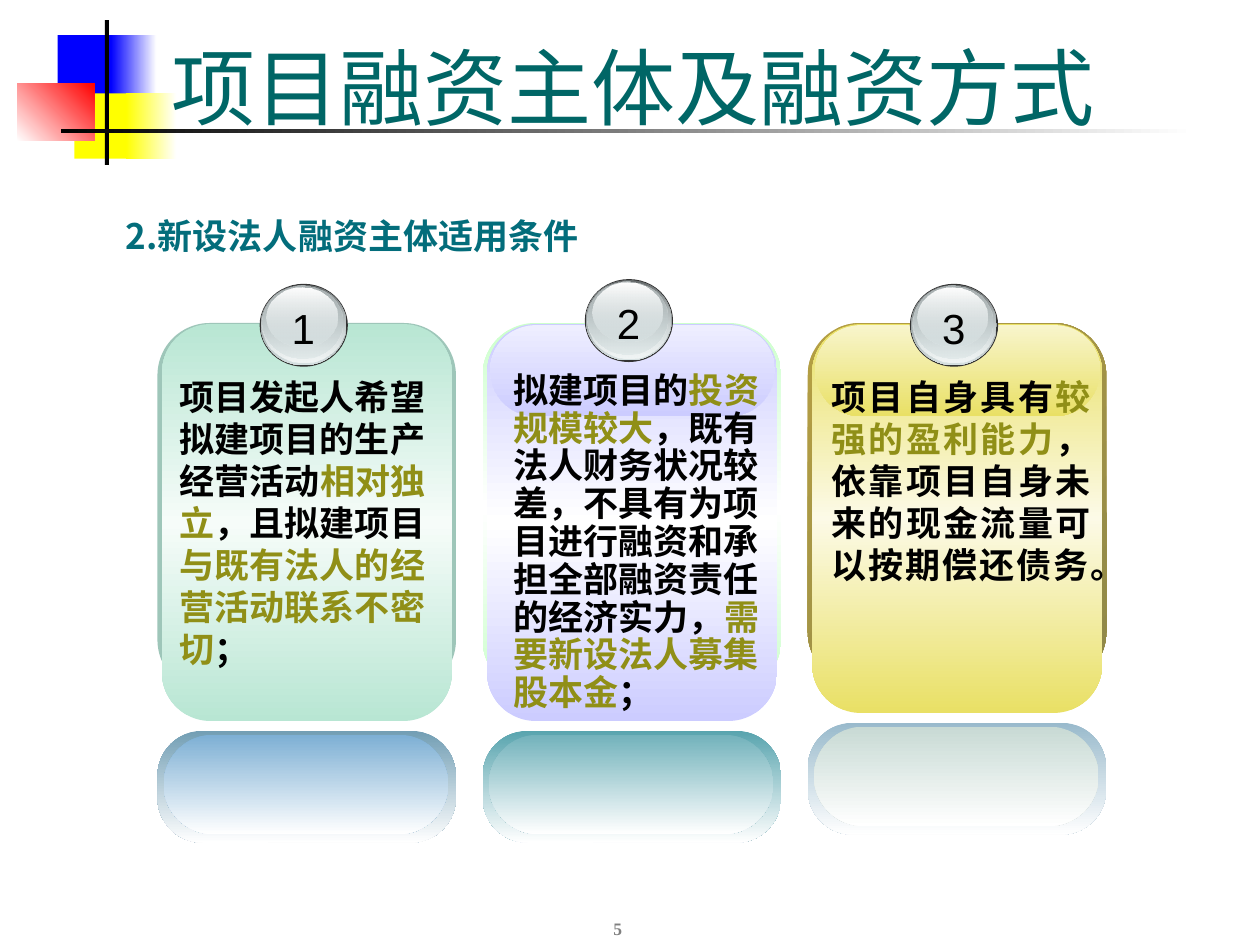
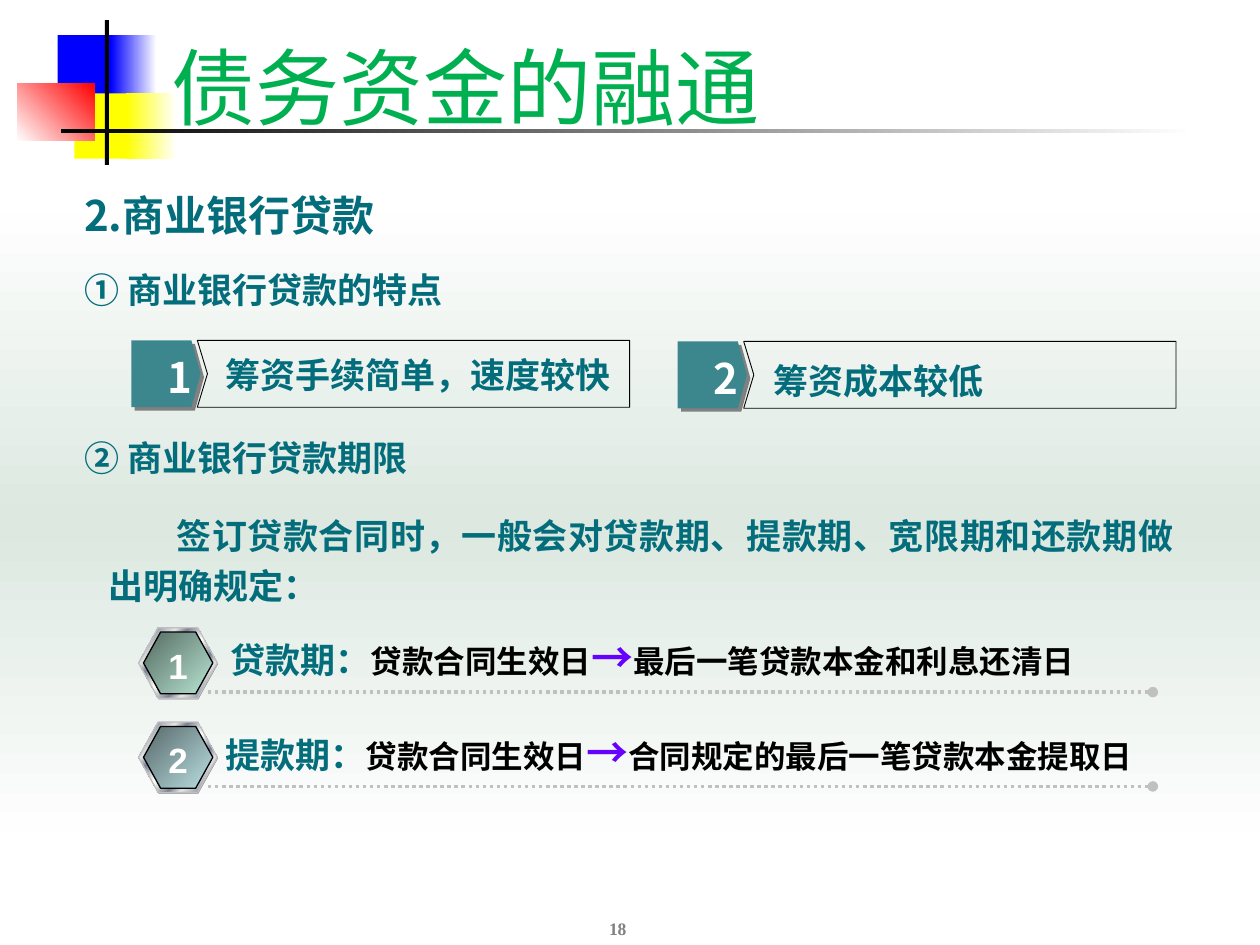
from lxml import etree
from pptx import Presentation
from pptx.dml.color import RGBColor
from pptx.enum.dml import MSO_LINE
from pptx.enum.shapes import MSO_CONNECTOR, MSO_SHAPE
from pptx.enum.text import MSO_ANCHOR, PP_ALIGN
from pptx.oxml.ns import qn
from pptx.util import Pt

RECTANGLE, ROUNDED = MSO_SHAPE.RECTANGLE, MSO_SHAPE.ROUNDED_RECTANGLE
OVAL, HEXAGON, PENTAGON = MSO_SHAPE.OVAL, MSO_SHAPE.HEXAGON, MSO_SHAPE.PENTAGON
STRAIGHT, DOTTED = MSO_CONNECTOR.STRAIGHT, MSO_LINE.ROUND_DOT
TOP, MIDDLE, BOTTOM = MSO_ANCHOR.TOP, MSO_ANCHOR.MIDDLE, MSO_ANCHOR.BOTTOM
CENTER, JUSTIFY = PP_ALIGN.CENTER, PP_ALIGN.JUSTIFY

SANS, SERIF, ARIAL = "Noto Sans CJK SC", "Times New Roman", "Arial"

WHITE = RGBColor(0xFF, 0xFF, 0xFF)
BLACK = RGBColor(0x00, 0x00, 0x00)
BLUE = RGBColor(0x00, 0x00, 0xFF)
YELLOW = RGBColor(0xFF, 0xFF, 0x00)
RED = RGBColor(0xFF, 0x00, 0x00)
GRAY = RGBColor(0x80, 0x80, 0x80)
SILVER = RGBColor(0xC0, 0xC0, 0xC0)
TITLE_TEAL = RGBColor(0x00, 0x66, 0x66)
TITLE_GREEN = RGBColor(0x00, 0xB0, 0x50)
TEAL = RGBColor(0x03, 0x6D, 0x7B)
TAG_TEAL = RGBColor(0x3B, 0x87, 0x8D)
OLIVE = RGBColor(0x90, 0x8F, 0x17)
VIOLET = RGBColor(0x66, 0x00, 0xFF)
PALE_GREEN = RGBColor(0xDC, 0xE8, 0xE0)
MINT = RGBColor(0xB8, 0xE6, 0xD3)
MINT_LIGHT = RGBColor(0xF6, 0xFC, 0xF9)
MINT_EDGE = RGBColor(0x9E, 0xC6, 0xB9)
MINT_DARK = RGBColor(0x55, 0x6A, 0x62)
LIME = RGBColor(0xCC, 0xFF, 0xCC)
LILAC = RGBColor(0xCC, 0xCC, 0xFF)
LILAC_LIGHT = RGBColor(0xEE, 0xEE, 0xFF)
GOLD = RGBColor(0xE9, 0xE0, 0x65)
GOLD_LIGHT = RGBColor(0xFC, 0xFA, 0xE7)
GOLD_GLOSS = RGBColor(0xF8, 0xF5, 0xCC)
GOLD_EDGE = RGBColor(0xB5, 0x9F, 0x43)
GOLD_DARK = RGBColor(0x8F, 0x88, 0x49)
STEEL = RGBColor(0x72, 0x9E, 0xB4)
SKY = RGBColor(0x7D, 0xAF, 0xD4)
SEA = RGBColor(0x58, 0xA4, 0xAE)
SEA_LIGHT = RGBColor(0x72, 0xB2, 0xBB)
MIST = RGBColor(0x99, 0xBA, 0xCC)
MIST_LIGHT = RGBColor(0xC8, 0xDA, 0xD4)
BADGE_RIM = RGBColor(0x33, 0x33, 0x33)
BADGE_DARK = RGBColor(0x63, 0x68, 0x69)
BADGE_MID = RGBColor(0xAA, 0xB2, 0xB3)
BADGE = RGBColor(0xD6, 0xE1, 0xE2)
BADGE_LIGHT = RGBColor(0xF1, 0xF5, 0xF5)
CHROME = RGBColor(0xE6, 0xE6, 0xE6)
CHROME_DARK = RGBColor(0x7D, 0x84, 0x96)
ICE = RGBColor(0xBB, 0xE0, 0xE3)
ICE_DARK = RGBColor(0x57, 0x68, 0x69)


def fade(*colors, angle=90):
    """Gradient with evenly spaced colours; a colour may be (colour, opacity percent)."""
    step = 100 / (len(colors) - 1)
    return [(index * step, color) for index, color in enumerate(colors)], angle


METAL = ([(0, CHROME), (8, CHROME_DARK), (26, CHROME), (34, CHROME_DARK), (46, CHROME),
          (50, WHITE), (54, CHROME), (66, CHROME_DARK), (74, CHROME), (92, CHROME_DARK),
          (100, CHROME)], 45)

EMBLEM = [
    ((33, 20, 34.5, 37.5), BLUE),
    ((63.4, 20, 26, 37.5), fade(BLUE, WHITE, angle=0)),
    ((42.5, 53.3, 33, 37.4), YELLOW),
    ((72, 53.3, 28.8, 37.4), fade(YELLOW, WHITE, angle=0)),
    ((10, 47.5, 44, 33.1), fade(WHITE, RED, angle=315)),
    ((60, 11.5, 2.2, 82.8), BLACK),
    ((34.6, 73.6, 648, 2.2), fade(BLACK, WHITE, angle=0)),
]

# Layers of a number badge, relative to its corner
BADGE_LAYERS = [
    ((0, 0, 50.4, 47.4), BADGE_RIM),
    ((0.6, 0.5, 49, 46), fade(BADGE_DARK, BADGE)),
    ((1.3, 0.6, 47.5, 44.6), fade((BADGE, 0), BADGE_LIGHT)),
    ((1.8, 1.2, 45.4, 41.7), fade(BADGE_MID, (BADGE, 48))),
    ((4.2, 1.9, 40.3, 33.8), fade(WHITE, (BADGE, 38))),
]


class Deck:
    """Holds the presentation, its style and the current slide."""

    def __init__(self):
        self.presentation = Presentation()
        self.presentation.slide_width = Pt(720)
        self.presentation.slide_height = Pt(540)
        self.slide = None

    def start_slide(self, title, color, number):
        self.slide = self.presentation.slides.add_slide(self.presentation.slide_layouts[6])
        for box, fill in EMBLEM:
            self.shape(RECTANGLE, box, fill)
        self.text((278, 504, 150, 36), [(number, {"color": GRAY})], anchor=BOTTOM,
                  align=CENTER, size=10, font=SERIF)
        self.text((90.7, 15.2, 613.4, 66.2), [(title, {"color": color})], anchor=BOTTOM,
                  size=48, font=SERIF, bold=False, spacing=57.6)

    def paint(self, shape, fill=None, line=None, width=0.75):
        if fill is None:
            shape.fill.background()
        elif isinstance(fill, RGBColor):
            shape.fill.solid()
            shape.fill.fore_color.rgb = fill
        else:
            self.paint_gradient(shape, *fill)
        if line is None:
            shape.line.fill.background()
        else:
            shape.line.color.rgb = line
            shape.line.width = Pt(width)
        shape.shadow.inherit = False

    def paint_gradient(self, shape, stops, angle):
        shape.fill.gradient()
        shape.fill.gradient_angle = (360 - angle) % 360
        stop_list = shape.element.spPr.find(qn("a:gradFill")).find(qn("a:gsLst"))
        for stop in list(stop_list):
            stop_list.remove(stop)
        for position, color in stops:
            color, opacity = (color, 100) if isinstance(color, RGBColor) else color
            stop = etree.SubElement(stop_list, qn("a:gs"), pos=str(int(position * 1000)))
            value = etree.SubElement(stop, qn("a:srgbClr"), val=str(color))
            if opacity < 100:
                etree.SubElement(value, qn("a:alpha"), val=str(opacity * 1000))

    def shape(self, kind, box, fill, line=None, adjust=None):
        shape = self.slide.shapes.add_shape(kind, *map(Pt, box))
        if adjust is not None:
            shape.adjustments[0] = adjust
        self.paint(shape, fill, line)
        return shape

    def outline(self, points, line, width):
        points = [(Pt(x), Pt(y)) for x, y in points]
        builder = self.slide.shapes.build_freeform(*points[0])
        builder.add_line_segments(points[1:], close=True)
        self.paint(builder.convert_to_shape(), line=line, width=width)

    def hard_shadow(self, shape):
        effects = shape.element.spPr.find(qn("a:effectLst"))
        shadow = etree.SubElement(effects, qn("a:outerShdw"), blurRad="0", dist=str(Pt(2.8)),
                                  dir="2700000", algn="ctr", rotWithShape="0")
        etree.SubElement(shadow, qn("a:srgbClr"), val=str(GRAY))

    def dotted_line(self, left, right, y):
        """Dotted rule that ends in a round dot."""
        connector = self.slide.shapes.add_connector(STRAIGHT, Pt(left), Pt(y), Pt(right), Pt(y))
        connector.line.color.rgb = SILVER
        connector.line.width = Pt(2)
        connector.line.dash_style = DOTTED
        properties = connector.element.spPr
        etree.SubElement(properties.find(qn("a:ln")), qn("a:tailEnd"), type="oval")
        etree.SubElement(properties, qn("a:effectLst"))

    def text(self, box, runs, size=20, font=SANS, bold=True, align=None, anchor=TOP,
             spacing=None, indent=0, inset=True, wrap=True):
        """One paragraph; each run is (words, changes to colour or size)."""
        frame = self.slide.shapes.add_textbox(*map(Pt, box)).text_frame
        frame_format = {"word_wrap": wrap, "vertical_anchor": anchor}
        if not inset:
            sides = ("left", "top", "right", "bottom")
            frame_format.update({f"margin_{side}": 0 for side in sides})
        for name, value in frame_format.items():
            setattr(frame, name, value)
        paragraph = frame.paragraphs[0]
        paragraph.alignment = align
        if spacing:
            paragraph.line_spacing = Pt(spacing)
        if indent:
            paragraph._p.get_or_add_pPr().set("indent", str(Pt(indent)))
        for words, changes in runs:
            run = paragraph.add_run()
            run.text = words
            run_format = {"size": Pt(changes.get("size", size)), "name": font, "bold": bold}
            for name, value in run_format.items():
                setattr(run.font, name, value)
            run.font.color.rgb = changes.get("color", TEAL)
            etree.SubElement(run.font._element, qn("a:ea"), typeface=SANS)

    def badge(self, left, top, number):
        for (x, y, width, height), fill in BADGE_LAYERS:
            self.shape(OVAL, (left + x, top + y, width, height), fill)
        self.text((left + 11, top + 7.2, 28, 36), [(number, {"color": BLACK})], size=24,
                  font=ARIAL, bold=False, align=CENTER, wrap=False)

    def card(self, left, number, card):
        shift = card.get("shift", 0)
        self.shape(ROUNDED, (left, 184.6, 170.6, 211 + shift), card["edge"], adjust=0.175)
        self.shape(ROUNDED, (left + 2.6, 185.2, 165.6, 226.8 + shift), card["body"],
                   adjust=0.167)
        if "gloss" in card:
            self.shape(ROUNDED, (left + 4.3, 185.8, 162.7, 52), card["gloss"], adjust=0.5)
        outer, inner = card["reflection"]
        self.shape(ROUNDED, (left, 417.6 + shift, 170.6, 64), fade(outer, WHITE), adjust=0.404)
        self.shape(ROUNDED, (left + 3.5, 419.8 + shift, 162.7, 56.9), fade(inner, WHITE),
                   adjust=0.5)
        self.badge(left + 58.4, card["badge_top"], number)
        x, y, width = card["text_box"]
        runs = [(words, {"color": color}) for words, color in card["runs"]]
        self.text((left + x, y, width, 190), runs, align=card.get("align"),
                  spacing=card.get("spacing", 24))

    def tag(self, left, top, number, words, label_box):
        """Numbered pennant with a notched frame for its label."""
        self.hard_shadow(self.shape(PENTAGON, (left, top, 39.6, 38.2), TAG_TEAL, adjust=0.137))
        notch, right, bottom = left + 37.8, left + 284.8, top + 38.2
        self.outline([(right, top), (notch, top), (notch + 5.8, top + 19.1), (notch, bottom),
                      (right, bottom)], BLACK, 0.5)
        x, y, width = label_box
        self.text((x, y, width, 24), [(words, {})], align=CENTER, spacing=24, inset=False)
        self.text((left + 20.5, top + 7.3, 42, 28.8), [(number, {"color": WHITE})], size=24,
                  spacing=28, inset=False)

    def period(self, top, number, fill, text_left, name, end):
        """Hexagon number, a loan period with its start and end, and a dotted rule."""
        self.shape(HEXAGON, (79.5, top + 0.7, 45, 40.3), GRAY, adjust=0.278)
        self.shape(HEXAGON, (79.2, top, 45, 40.3), METAL, line=SILVER, adjust=0.278)
        self.shape(HEXAGON, (82, top + 2.5, 39.6, 35.3), fill, line=BLACK, adjust=0.277)
        self.text((87.8, top + 5.8, 28, 31), [(number, {"color": WHITE})], font=ARIAL,
                  align=CENTER, anchor=MIDDLE, wrap=False)
        self.dotted_line(118.8, 658.8, top + 36.8)
        plain = {"size": 18, "color": BLACK}
        self.text((text_left, top - 0.4, 543, 36),
                  [(name, {}), ("贷款合同生效日", plain), ("→", {"size": 24, "color": VIOLET}),
                   (end, plain)], spacing=28)


CARDS = [
    {"edge": MINT_EDGE, "body": fade(MINT, MINT_LIGHT, MINT), "reflection": (STEEL, SKY),
     "badge_top": 162.2, "text_box": (5.6, 211.1, 162),
     "runs": [("项目发起人希望拟建项目的生产经营活动", BLACK), ("相对独立", OLIVE),
              ("，且拟建项目", BLACK), ("与既有法人的经营活动联系不密切", OLIVE),
              ("；", BLACK)]},
    {"edge": fade(LIME, WHITE, LIME), "body": fade(LILAC, WHITE, LILAC),
     "gloss": fade(LILAC_LIGHT, LILAC), "reflection": (SEA, SEA_LIGHT),
     "badge_top": 159.5, "text_box": (10.6, 209.3, 157.7), "spacing": 21.6,
     "runs": [("拟建项目的", BLACK), ("投资规模较大", OLIVE),
              ("，既有法人财务状况较差，不具有为项目进行融资和承担全部融资责任的经济实力，", BLACK),
              ("需要新设法人募集股本金", OLIVE), ("；", BLACK)]},
    {"edge": fade(GOLD_EDGE, GOLD_DARK, angle=45), "body": fade(GOLD, GOLD_LIGHT, GOLD),
     "gloss": fade(GOLD_GLOSS, GOLD), "reflection": (MIST, MIST_LIGHT), "shift": -4.6,
     "badge_top": 162.2, "text_box": (6.6, 211.1, 162), "align": JUSTIFY,
     "runs": [("项目自身具有", BLACK), ("较强的盈利能力", OLIVE),
              ("，依靠项目自身未来的现金流量可以按期偿还债务。", BLACK)]},
]


def build_financing_entity(deck):
    deck.start_slide("项目融资主体及融资方式", TITLE_TEAL, "5")
    deck.text((64.8, 119, 401, 31), [("2.新设法人融资主体适用条件", {})], spacing=24)
    for index, card in enumerate(CARDS):
        deck.card(90 + 185.8 * index, str(index + 1), card)


def build_debt_financing(deck):
    deck.start_slide("债务资金的融通", TITLE_GREEN, "18")
    deck.shape(RECTANGLE, (0, 111.6, 720, 374.4), fade(WHITE, PALE_GREEN, WHITE))
    deck.text((41, 105.6, 212, 35), [("2.商业银行贷款", {})], size=24, spacing=28)
    for top, heading in [(149.8, "① 商业银行贷款的特点"), (245.8, "② 商业银行贷款期限")]:
        deck.text((41, top, 363, 31), [(heading, {})], spacing=24)
    deck.tag(75, 194.5, "1", "筹资手续简单，速度较快", (101.5, 202, 275))
    deck.tag(387.2, 195.1, "2", "筹资成本较低", (434.9, 205.4, 134.6))
    deck.text((54.7, 285.8, 622.8, 65),
              [("签订贷款合同时，一般会对贷款期、提款期、宽限期和还款期做出明确规定：", {})],
              font=SERIF, align=JUSTIFY, spacing=28.6, indent=39)
    deck.period(358.7, "1", fade(MINT_DARK, MINT, angle=45), 124.6, "贷款期：",
                "最后一笔贷款本金和利息还清日")
    deck.period(412.6, "2", fade(ICE_DARK, ICE, angle=45), 121.7, "提款期：",
                "合同规定的最后一笔贷款本金提取日")


def main():
    deck = Deck()
    build_financing_entity(deck)
    build_debt_financing(deck)
    deck.presentation.save("out.pptx")


if __name__ == "__main__":
    main()
